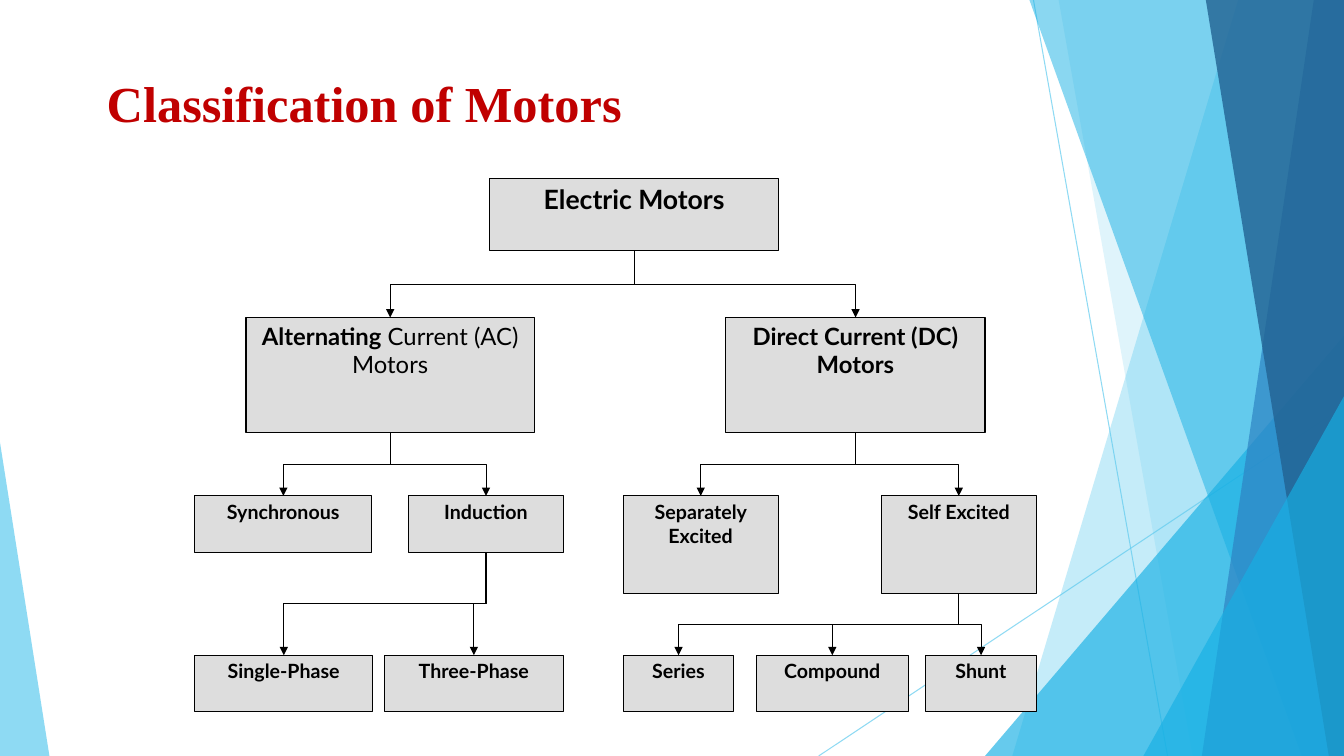
"""Build the slide that classifies electric motors as a tree over blue facets."""
from lxml import etree
from pptx import Presentation
from pptx.dml.color import RGBColor
from pptx.enum.shapes import MSO_CONNECTOR as Connector, MSO_SHAPE as Shape
from pptx.enum.text import MSO_ANCHOR as Anchor, PP_ALIGN as Align
from pptx.oxml.ns import qn
from pptx.util import Inches, Pt

TITLE = "Classification of Motors"
TITLE_BOX = (0.96, 0.62, 7.72, 0.71)

# name: (level, left, width, height, parent, plain ending)
MOTORS = {
    "Electric Motors": (0, 4.86, 2.86, 0.72, None, ""),
    "Alternating": (1, 2.44, 2.86, 1.14, "Electric Motors", " Current (AC) Motors"),
    "Direct Current (DC) Motors": (1, 7.2, 2.57, 1.14, "Electric Motors", ""),
    "Synchronous": (2, 1.93, 1.76, 0.56, "Alternating", ""),
    "Induction": (2, 4.05, 1.54, 0.56, "Alternating", ""),
    "Separately Excited": (2, 6.18, 1.54, 0.97, "Direct Current (DC) Motors", ""),
    "Self Excited": (2, 8.74, 1.54, 0.97, "Direct Current (DC) Motors", ""),
    "Single-Phase": (3, 1.93, 1.77, 0.56, "Induction", ""),
    "Three-Phase": (3, 3.81, 1.78, 0.56, "Induction", ""),
    "Series": (3, 6.18, 1.1, 0.56, "Self Excited", ""),
    "Compound": (3, 7.5, 1.51, 0.56, "Self Excited", ""),
    "Shunt": (3, 9.18, 1.1, 0.56, "Self Excited", ""),
}
LEVEL_TOPS = (1.77, 3.15, 4.92, 6.5)

THEME = {
    "title": {"name": "Times New Roman", "size": Pt(36), "bold": True, "color": "C00000"},
    "box font": {"name": "Lato", "color": "000000"},
    "level sizes": (19, 17, 14, 14),
    "box": "DDDDDD",
    "line": "000000",
    "sky": "5FCBEF",
    "cyan": "17B0E4",
    "blue": "2E83C3",
    "navy": "226292",
}
BOX_FRAME = {
    "word_wrap": True,
    "vertical_anchor": Anchor.TOP,
    "margin_left": Inches(0.07),
    "margin_right": Inches(0.07),
    "margin_top": Inches(0.04),
    "margin_bottom": Inches(0.04),
}
TITLE_FRAME = {"word_wrap": True, "margin_top": Inches(0.1)}

SLIDE_WIDTH, SLIDE_HEIGHT = 13.33, 7.5
RAYS = [(10.25, 0, 11.58, 7.5), (13.33, 4.03, 8.12, 7.5)]
# bands: top left x, bottom left x, colour, opacity
# triangles: box, apex position, colour, opacity
FACETS = [
    ("band", (12.28, 10.04), "sky", 36),
    ("band", (10.5, 11.83), "sky", 20),
    ("triangle", (9.77, 3.33, 3.56, 4.17, 1), "cyan", 66),
    ("band", (10.21, 12.91), "cyan", 50),
    ("band", (13.03, 11.92), "blue", 70),
    ("band", (11.96, 13.18), "navy", 80),
    ("triangle", (11.34, 3.93, 1.99, 3.57, 1), "cyan", 66),
    ("triangle", (0, 4.39, 0.49, 3.11, 0), "sky", 70),
]


def set_values(target, values):
    for name, value in values.items():
        if name == "color":
            target.color.rgb = RGBColor.from_string(value)
        else:
            setattr(target, name, value)


def paint(fill, color, opacity=100):
    fill.solid()
    fill.fore_color.rgb = RGBColor.from_string(color)
    if opacity < 100:
        rgb = fill._xPr.find(".//" + qn("a:srgbClr"))
        etree.SubElement(rgb, qn("a:alpha"), val=str(opacity * 1000))


def add_line(slide, kind, ends, color, opacity=100):
    line = slide.shapes.add_connector(kind, *ends)
    line.line.width = Pt(0.75)
    paint(line.line.fill, color, opacity)
    etree.SubElement(line._element.spPr, qn("a:effectLst"))
    return line


def add_facet(slide, kind, place, color, opacity):
    if kind == "band":
        top_x, bottom_x = place
        corners = [(SLIDE_WIDTH, 0), (SLIDE_WIDTH, SLIDE_HEIGHT), (bottom_x, SLIDE_HEIGHT)]
        builder = slide.shapes.build_freeform(Inches(top_x), 0)
        builder.add_line_segments([(Inches(x), Inches(y)) for x, y in corners], close=True)
        facet = builder.convert_to_shape()
    else:
        *box, apex = place
        facet = slide.shapes.add_shape(Shape.ISOSCELES_TRIANGLE, *map(Inches, box))
        facet.adjustments[0] = apex
    facet.shadow.inherit = False
    paint(facet.fill, THEME[color], opacity)
    facet.line.fill.background()


def add_title(slide):
    frame = slide.shapes.add_textbox(*map(Inches, TITLE_BOX)).text_frame
    set_values(frame, TITLE_FRAME)
    run = frame.paragraphs[0].add_run()
    run.text = TITLE
    set_values(run.font, THEME["title"])


def add_motor(slide, name, level, left, width, height, ending):
    place = map(Inches, (left, LEVEL_TOPS[level], width, height))
    shape = slide.shapes.add_shape(Shape.RECTANGLE, *place)
    shape.shadow.inherit = False
    paint(shape.fill, THEME["box"])
    paint(shape.line.fill, THEME["line"])
    shape.line.width = Pt(0.75)
    set_values(shape.text_frame, BOX_FRAME)
    paragraph = shape.text_frame.paragraphs[0]
    paragraph.alignment = Align.CENTER
    for text, bold in ((name, True), (ending, False)):
        if text:
            run = paragraph.add_run()
            run.text = text
            size = Pt(THEME["level sizes"][level])
            set_values(run.font, {**THEME["box font"], "size": size, "bold": bold})
    return shape


def add_branch(slide, parent, child):
    start_x, start_y = parent.left + parent.width // 2, parent.top + parent.height
    end_x, end_y = child.left + child.width // 2, child.top
    branch = add_line(slide, Connector.ELBOW, (start_x, start_y, end_x, end_y), THEME["line"])
    branch.begin_connect(parent, 2)
    branch.end_connect(child, 0)
    drop, reach = end_y - start_y, abs(end_x - start_x)
    set_values(branch, {
        "left": (start_x + end_x - drop) // 2,
        "top": (start_y + end_y - reach) // 2,
        "width": drop,
        "height": reach,
    })
    rightward = end_x > start_x
    frame = branch._element.spPr.find(qn("a:xfrm"))
    frame.set("rot", str((270 if rightward else 90) * 60000))
    frame.set("flipH", "1" if rightward else "0")
    outline = branch._element.spPr.find(qn("a:ln"))
    etree.SubElement(outline, qn("a:tailEnd"), type="triangle")


def main():
    presentation = Presentation()
    presentation.slide_width = Inches(SLIDE_WIDTH)
    presentation.slide_height = Inches(SLIDE_HEIGHT)
    slide = presentation.slides.add_slide(presentation.slide_layouts[6])
    for ray in RAYS:
        add_line(slide, Connector.STRAIGHT, map(Inches, ray), THEME["sky"], 70)
    for facet in FACETS:
        add_facet(slide, *facet)
    add_title(slide)
    boxes = {}
    for name, (level, left, width, height, parent, ending) in MOTORS.items():
        boxes[name] = add_motor(slide, name, level, left, width, height, ending)
        if parent:
            add_branch(slide, boxes[parent], boxes[name])
    presentation.save("out.pptx")


if __name__ == "__main__":
    main()
